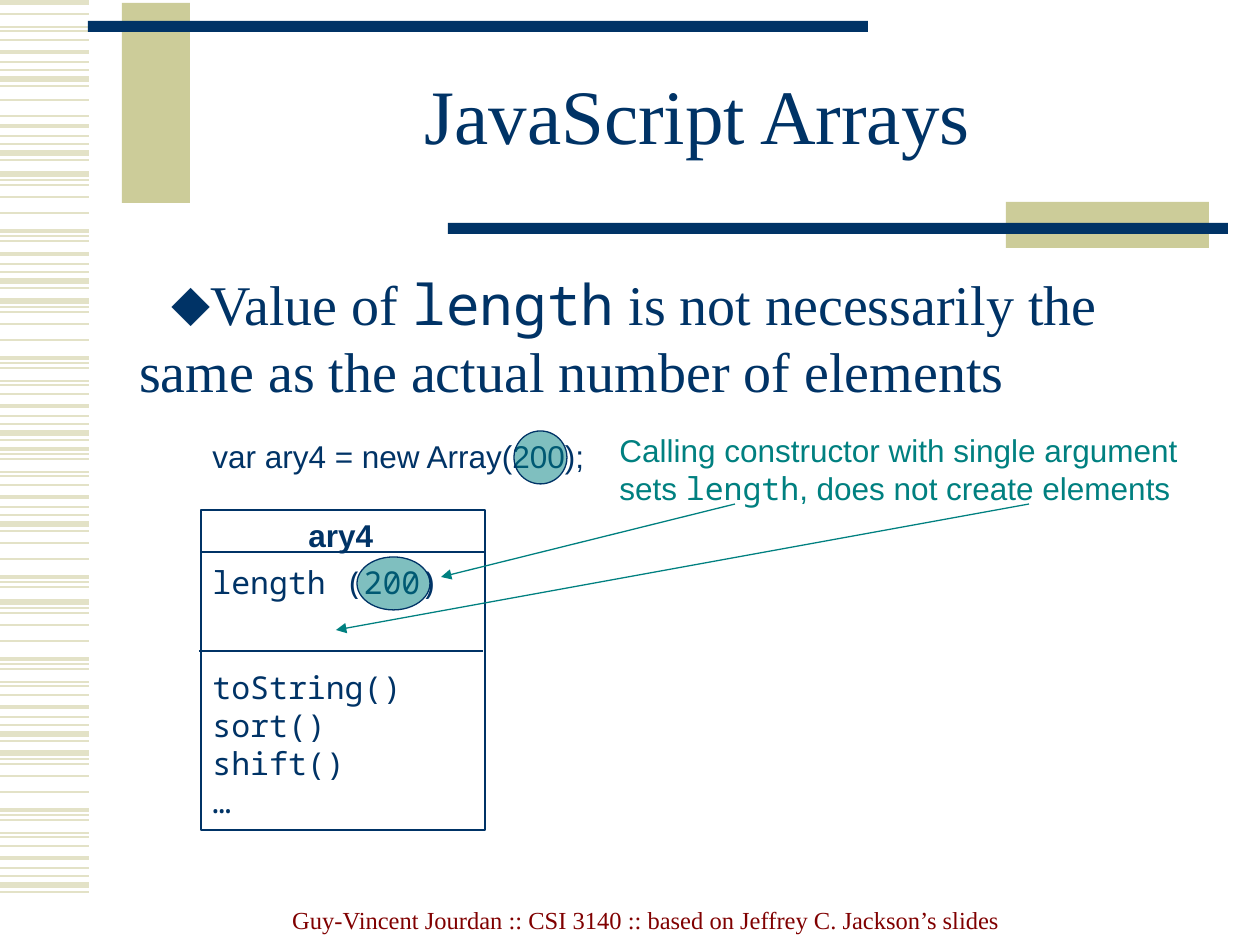
import dataclasses

import lxml.etree
import pptx
import pptx.dml.color
import pptx.enum.shapes
import pptx.enum.text
import pptx.oxml.ns
import pptx.util

SHAPE = pptx.enum.shapes.MSO_SHAPE
ALIGN = pptx.enum.text.PP_ALIGN
ANCHOR = pptx.enum.text.MSO_ANCHOR
FIT = pptx.enum.text.MSO_AUTO_SIZE
EMU_PER_PX = 914400 / 126


@dataclasses.dataclass(frozen=True)
class Theme:
    navy: str = "003366"
    teal: str = "008080"
    khaki: str = "CCCC99"
    stripe: str = "E3E2C7"
    maroon: str = "800000"
    serif: str = "Times New Roman"
    sans: str = "Arial"
    mono: str = "Noto Sans Mono"
    title_size: int = 44
    body_size: int = 32
    label_size: int = 18
    footer_size: int = 14
    thin: float = 0.75


THEME = Theme()

STRIPE_PATTERN = [
    (0, 3), (6, 0.75), (11, 1), (23, 1), (39, 1), (57, 2.25), (62, 0.75), (67, 1.5),
    (80, 0.75), (84, 1.5), (93, 1), (105, 2.25), (115, 1.5), (123, 0.75), (132, 3), (139, 1.5),
]
STRIPE_BANDS = [
    (-130, 14, 15), (-53, 7, 16), (77, 3, 5), (21, 11, 16), (174, 0, 8), (149, 11, 16),
    (301, 0, 16), (392, 5, 16), (520, 3, 8), (602, 0, 16), (753, 0, 16),
]


def px(n):
    return pptx.util.Emu(round(n * EMU_PER_PX))


def rgb(color):
    return pptx.dml.color.RGBColor.from_string(color)


def add_xml(parent, tag, **attrs):
    return lxml.etree.SubElement(parent, pptx.oxml.ns.qn(tag), attrs)


def write(tf, paragraphs, size, font, color, bold=None, align=None, spacing=None):
    for i, runs in enumerate(paragraphs):
        p = tf.paragraphs[0] if i == 0 else tf.add_paragraph()
        p.alignment = align
        p.line_spacing = spacing
        for text, run_font in [(runs, font)] if isinstance(runs, str) else runs:
            r = p.add_run()
            r.text = text
            r.font.name = run_font
            r.font.size = pptx.util.Pt(size)
            r.font.bold = bold
            r.font.color.rgb = rgb(color)


def add_label(s, box, paragraphs, color=THEME.navy, font=THEME.sans, bold=None):
    tf = s.shapes.add_textbox(*map(px, box)).text_frame
    tf.word_wrap = False
    tf.auto_size = FIT.SHAPE_TO_FIT_TEXT
    write(tf, paragraphs, THEME.label_size, font, color, bold=bold)


def add_shape(s, kind, box, fill=None, line=None, alpha=None):
    sp = s.shapes.add_shape(kind, *map(px, box))
    sp.shadow.inherit = False
    if fill:
        sp.fill.solid()
        sp.fill.fore_color.rgb = rgb(fill)
    else:
        sp.fill.background()
    if alpha:
        clr = sp._element.spPr.find(".//" + pptx.oxml.ns.qn("a:srgbClr"))
        add_xml(clr, "a:alpha", val=str(alpha * 1000))
    if line:
        sp.line.color.rgb = rgb(line)
        sp.line.width = pptx.util.Pt(THEME.thin)
    else:
        sp.line.fill.background()


def add_line(s, start, end, color, width=THEME.thin, arrow=False):
    kind = pptx.enum.shapes.MSO_CONNECTOR.STRAIGHT
    cx = s.shapes.add_connector(kind, *map(px, start + end))
    cx.line.color.rgb = rgb(color)
    cx.line.width = pptx.util.Pt(width)
    if arrow:
        add_xml(cx._element.spPr.get_or_add_ln(), "a:tailEnd", type="triangle")
    add_xml(cx._element.spPr, "a:effectLst")


def add_highlight(s, box):
    add_shape(s, SHAPE.OVAL, box, THEME.teal, THEME.navy, alpha=50)


def place(sp, box):
    sp.left, sp.top, sp.width, sp.height = map(px, box)
    sp.text_frame.auto_size = FIT.NONE
    return sp.text_frame


def add_background(s):
    for top, first, last in STRIPE_BANDS:
        for offset, width in STRIPE_PATTERN[first:last]:
            add_line(s, (0, top + offset), (89, top + offset), THEME.stripe, width)
    for box, color in [
        ((122, 3, 68, 200), THEME.khaki),
        ((88, 21, 780, 11), THEME.navy),
        ((1006, 202, 203, 46), THEME.khaki),
        ((448, 223, 780, 11), THEME.navy),
    ]:
        add_shape(s, SHAPE.RECTANGLE, box, color)


def add_title(s):
    tf = place(s.shapes.title, (189, 42, 1017, 157))
    tf.vertical_anchor = ANCHOR.MIDDLE
    write(tf, ["JavaScript Arrays"], THEME.title_size, THEME.serif, THEME.navy,
          align=ALIGN.CENTER, spacing=0.85)


def add_body(s):
    tf = place(s.placeholders[1], (112, 263, 1096, 534))
    tf.margin_left = tf.margin_right = px(11)
    tf.margin_top = tf.margin_bottom = px(6)
    p = tf.paragraphs[0]
    pPr = p._p.get_or_add_pPr()
    pPr.set("marL", str(px(16)))
    pPr.set("indent", str(px(32)))
    add_xml(add_xml(pPr, "a:buClr"), "a:srgbClr", val=THEME.navy)
    add_xml(pPr, "a:buChar", char="⬥")
    p.space_before = pptx.util.Pt(0)
    write(tf, [[
        ("Value of ", THEME.serif),
        ("length", THEME.mono),
        (" is not necessarily the same as the actual number of elements", THEME.serif),
    ]], THEME.body_size, THEME.serif, THEME.navy)


def add_footer(s):
    tf = s.shapes.add_textbox(*map(px, (252, 878, 788, 63))).text_frame
    tf.word_wrap = True
    tf.vertical_anchor = ANCHOR.BOTTOM
    write(tf, ["Guy-Vincent Jourdan :: CSI 3140 :: based on Jeffrey C. Jackson’s slides"],
          THEME.footer_size, THEME.serif, THEME.maroon, align=ALIGN.CENTER)


def add_array_diagram(s):
    add_label(s, (200, 431, 402, 50), ["var ary4 = new Array(200);"])
    add_shape(s, SHAPE.RECTANGLE, (201, 510, 284, 320), line=THEME.navy)
    add_line(s, (201, 552), (485, 552), THEME.navy)
    add_line(s, (199, 651), (483, 651), THEME.navy)
    add_label(s, (296, 510, 96, 50), ["ary4"], bold=True)
    add_label(s, (200, 557, 256, 50), ["length (200)"], font=THEME.mono)
    add_label(s, (200, 662, 218, 164), ["toString()", "sort()", "shift()", "…"],
              font=THEME.mono)


def add_callout(s):
    add_label(s, (607, 425, 592, 88), [
        "Calling constructor with single argument",
        [("sets ", THEME.sans), ("length", THEME.mono),
         (", does not create elements", THEME.sans)],
    ], color=THEME.teal)
    add_line(s, (735, 504), (441, 577), THEME.teal, arrow=True)
    add_highlight(s, (357, 557, 73, 53))
    add_line(s, (1029, 504), (336, 630), THEME.teal, arrow=True)
    add_highlight(s, (514, 431, 53, 53))


def main():
    prs = pptx.Presentation()
    prs.slide_width, prs.slide_height = px(1260), px(945)
    s = prs.slides.add_slide(prs.slide_layouts[1])
    add_background(s)
    add_footer(s)
    add_title(s)
    add_body(s)
    add_array_diagram(s)
    add_callout(s)
    prs.save("out.pptx")


if __name__ == "__main__":
    main()
